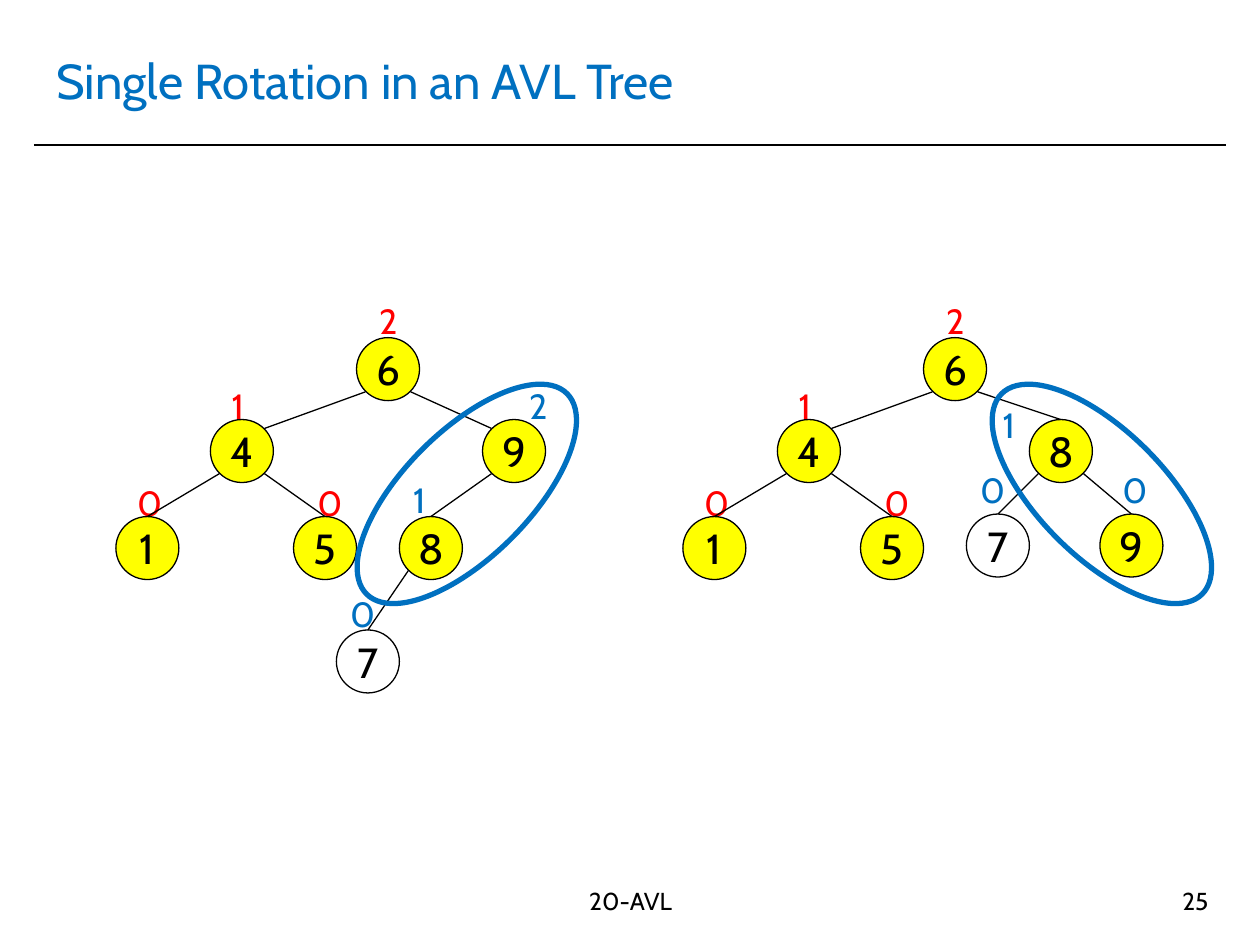
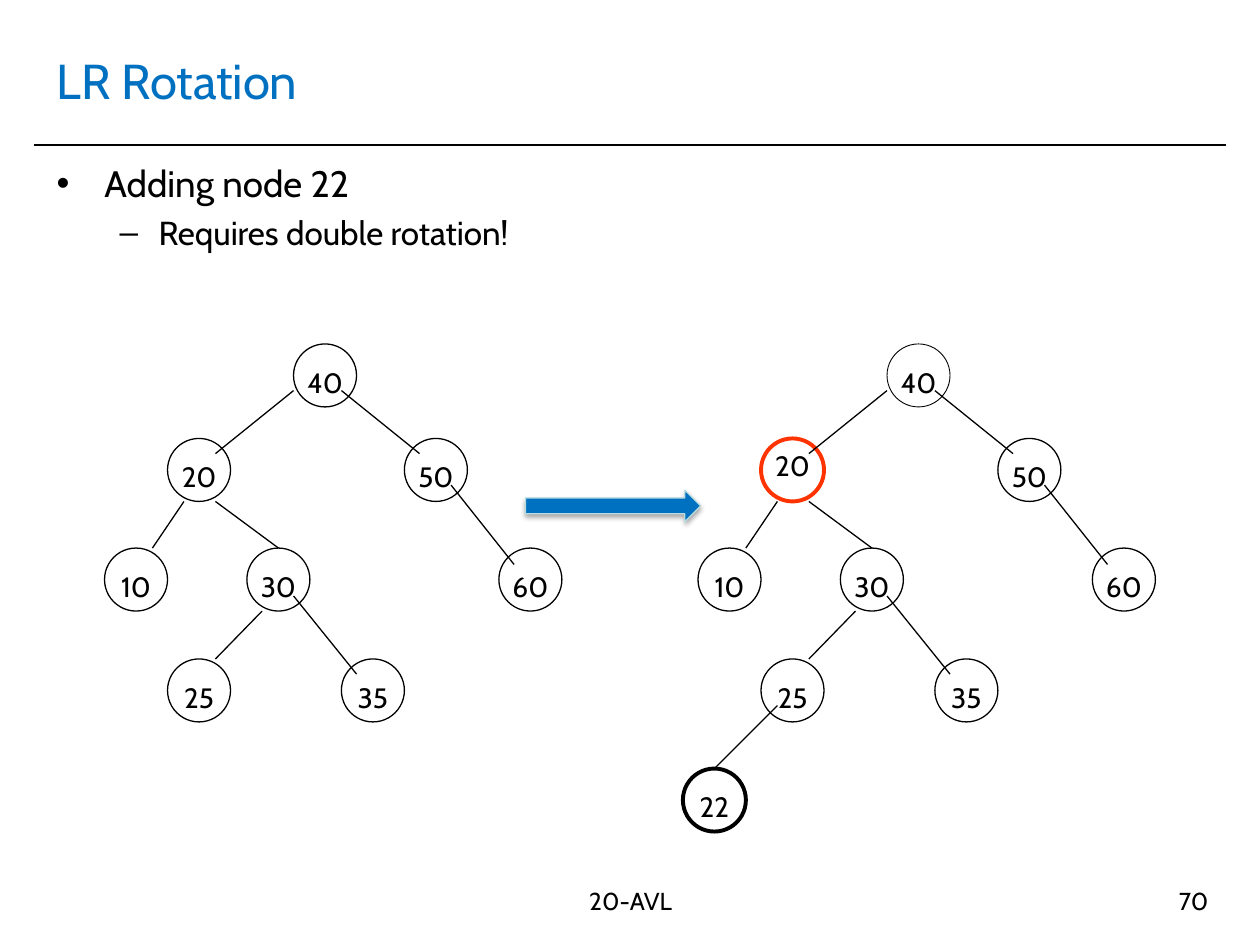
import lxml.etree
import pptx
import pptx.dml.color
import pptx.enum.shapes
import pptx.enum.text
import pptx.oxml.ns
import pptx.util

Inches = pptx.util.Inches
Pt = pptx.util.Pt
RGBColor = pptx.dml.color.RGBColor
Shape = pptx.enum.shapes.MSO_SHAPE
Align = pptx.enum.text.PP_ALIGN
Anchor = pptx.enum.text.MSO_ANCHOR
qn = pptx.oxml.ns.qn

BLACK = RGBColor(0x00, 0x00, 0x00)
WHITE = RGBColor(0xFF, 0xFF, 0xFF)
BLUE = RGBColor(0x00, 0x70, 0xC0)
RED = RGBColor(0xFF, 0x00, 0x00)
ORANGE = RGBColor(0xFF, 0x33, 0x00)
YELLOW = RGBColor(0xFF, 0xFF, 0x00)
PALE = RGBColor(0xB6, 0xDC, 0xDF)
FONT = "Cabin"
SIZE = 0.5


def put(slide, kind, box, text="", size=14, ink=BLACK, align=Align.LEFT,
        anchor=Anchor.TOP, wrap=False, fill=None, line=None, width=0.75):
    area = [Inches(value) for value in box]
    if kind is None:
        shape = slide.shapes.add_textbox(*area)
    else:
        shape = slide.shapes.add_shape(kind, *area)
        shape.shadow.inherit = False
        if fill is None:
            shape.fill.background()
        else:
            shape.fill.solid()
            shape.fill.fore_color.rgb = fill
        if line is None:
            shape.line.fill.background()
        else:
            shape.line.color.rgb = line
            shape.line.width = Pt(width)
    frame = shape.text_frame
    for name, value in {"word_wrap": wrap, "vertical_anchor": anchor}.items():
        setattr(frame, name, value)
    if text:
        para = frame.paragraphs[0]
        para.alignment = align
        run = para.add_run()
        run.text = text
        for name, value in {"name": FONT, "size": Pt(size)}.items():
            setattr(run.font, name, value)
        run.font.color.rgb = ink
    return shape


def link(slide, ends, width=0.75):
    edge = slide.shapes.add_connector(
        pptx.enum.shapes.MSO_CONNECTOR.STRAIGHT, *[Inches(value) for value in ends])
    edge.line.color.rgb = BLACK
    edge.line.width = Pt(width)
    lxml.etree.SubElement(edge._element.spPr, qn("a:effectLst"))


deck = pptx.Presentation()
deck.slide_width = Inches(10)
deck.slide_height = Inches(7.5)

pages = []
for title, number in (("Single Rotation in an AVL Tree", "25"), ("LR Rotation", "70")):
    slide = deck.slides.add_slide(deck.slide_layouts[6])
    link(slide, (0.27, 1.15, 9.73, 1.15), 1)
    put(slide, None, (0.35, 0.21, 9.29, 0.85), title, 28, BLUE,
        anchor=Anchor.MIDDLE, wrap=True)
    put(slide, None, (3.35, 6.98, 3.31, 0.52), "20-AVL", align=Align.CENTER, wrap=True)
    put(slide, None, (7.36, 6.98, 2.33, 0.52), number, align=Align.RIGHT, wrap=True)
    pages.append(slide)
single, double = pages

# value: left, top, fill, height, height left, height top, height colour
base = {
    "6": (2.83, 2.68, YELLOW, "2", 2.91, 2.33, RED),
    "4": (1.67, 3.33, YELLOW, "1", 1.74, 3, RED),
    "1": (0.92, 4.1, YELLOW, "0", 0.99, 3.77, RED),
    "5": (2.33, 4.1, YELLOW, "0", 2.42, 3.77, RED),
}
before = base | {
    "9": (3.83, 3.33, YELLOW, "2", 4.1, 3, BLUE),
    "8": (3.17, 4.1, YELLOW, "1", 3.18, 3.75, BLUE),
    "7": (2.67, 5, None, "0", 2.68, 4.65, BLUE),
}
after = base | {
    "8": (3.67, 3.33, YELLOW, "1", 3.36, 3.15, BLUE),
    "9": (4.23, 4.08, YELLOW, "0", 4.31, 3.67, BLUE),
    "7": (3.17, 4.08, None, "0", 3.18, 3.67, BLUE),
}
corner = 0.18
for shift, tree, edges, sharp in (
    (0, before, ("64", "69", "41", "45", "98", "87"), ("64", "69")),
    (4.5, after, ("64", "68", "41", "45", "89", "87"), ("64",)),
):
    for key, (left, top, fill, high, tag_x, tag_y, ink) in tree.items():
        put(single, None, (tag_x + shift, tag_y, 0.35, 0.44), high, 20, ink)
        put(single, Shape.OVAL, (left + shift, top, SIZE, SIZE), key, 24,
            align=Align.CENTER, anchor=Anchor.MIDDLE, fill=fill, line=BLACK)
    for edge in edges:
        (x1, y1), (x2, y2) = [
            (tree[key][0] + shift + SIZE / 2, tree[key][1] + SIZE / 2) for key in edge]
        side = corner if x2 > x1 else -corner
        if edge in sharp:
            end = (x2 - side, y2 - corner)
        else:
            end = (x2, y2 - SIZE / 2)
        link(single, (x1 + side, y1 + corner, *end))
for left, angle in ((2.58, 315), (7.62, 45)):
    ring = put(single, Shape.OVAL, (left, 3.42, 2.25, 1), line=BLUE, width=3)
    ring.rotation = angle

body = put(double, None, (0.35, 1.23, 9.29, 5.59), "Adding node 22", 21, wrap=True)
frame = body.text_frame
run = frame.add_paragraph().add_run()
run.text = "Requires double rotation!"
for name, value in {"name": FONT, "size": Pt(19)}.items():
    setattr(run.font, name, value)
run.font.color.rgb = BLACK
frame.paragraphs[1].level = 1
frame.paragraphs[1].space_before = Pt(4)
for para, mark, left, hang in zip(frame.paragraphs, "•–", (0.38, 0.81), (0.38, 0.31)):
    props = para._p.get_or_add_pPr()
    props.set("marL", str(Inches(left)))
    props.set("indent", str(-Inches(hang)))
    lxml.etree.SubElement(props, qn("a:buFont")).set("typeface", "Arial")
    lxml.etree.SubElement(props, qn("a:buChar")).set("char", mark)

nodes = {
    "25": (1.33, 5.23), "35": (2.71, 5.23), "10": (0.83, 4.35), "30": (1.96, 4.35),
    "20": (1.33, 3.48), "40": (2.33, 2.73), "50": (3.21, 3.48), "60": (3.96, 4.35),
}
edges = (
    (2.33, 3.1, 1.71, 3.6), (1.46, 3.98, 1.21, 4.35), (1.71, 3.98, 2.21, 4.35),
    (2.08, 4.85, 1.71, 5.23), (2.33, 4.73, 2.83, 5.35), (3.58, 3.85, 4.08, 4.48),
    (2.71, 3.1, 3.33, 3.6),
)
looks = {"22": (BLACK, 2.25, 0.12), "20": (ORANGE, 2.25, 0.03), "40": (BLACK, 0.5, 0.12)}
for shift, tree, lines, style in (
    (0, nodes, edges, {}),
    (4.71, nodes | {"22": (0.71, 6.1)}, edges + ((1.46, 5.6, 0.96, 6.1),), looks),
):
    for key, (left, top) in tree.items():
        ink, width, drop = style.get(key, (BLACK, 0.75, 0.12))
        put(double, Shape.RECTANGLE, (left + shift, top + drop, SIZE, SIZE / 2), key, 16,
            align=Align.CENTER, fill=WHITE)
        put(double, Shape.OVAL, (left + shift, top, SIZE, SIZE), line=ink, width=width)
    for x1, y1, x2, y2 in lines:
        link(double, (x1 + shift, y1, x2 + shift, y2))

arrow = put(double, Shape.RIGHT_ARROW, (4.17, 3.89, 1.39, 0.25), fill=BLUE, line=PALE)
glow = lxml.etree.SubElement(
    arrow._element.spPr.find(qn("a:effectLst")), qn("a:outerShdw"),
    blurRad=str(Pt(3.1)), dist=str(Pt(1.8)), dir="5400000", rotWithShape="0")
tint = lxml.etree.SubElement(glow, qn("a:srgbClr"), val="000000")
lxml.etree.SubElement(tint, qn("a:alpha"), val="35000")

deck.save("out.pptx")
